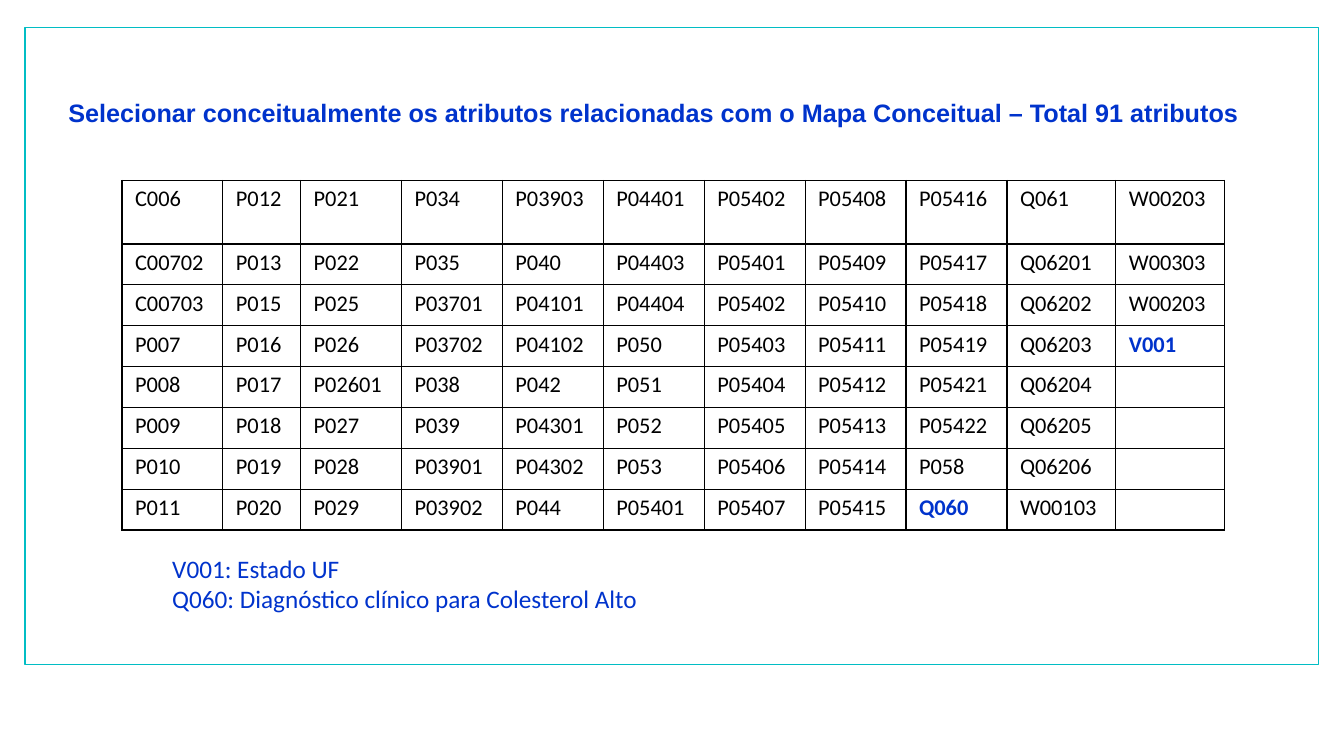
"""Build the slide that lists the 91 attributes chosen from the concept map."""
from dataclasses import dataclass

from lxml import etree
from pptx import Presentation
from pptx.dml.color import RGBColor
from pptx.enum.shapes import MSO_SHAPE
from pptx.oxml.ns import qn
from pptx.util import Inches, Pt

RECTANGLE = MSO_SHAPE.RECTANGLE

TITLE = ("Selecionar conceitualmente os atributos relacionadas com o "
         "Mapa Conceitual – Total 91 atributos")
ATTRIBUTES = [
    "C006 C00702 C00703 P007 P008 P009 P010 P011",
    "P012 P013 P015 P016 P017 P018 P019 P020",
    "P021 P022 P025 P026 P02601 P027 P028 P029",
    "P034 P035 P03701 P03702 P038 P039 P03901 P03902",
    "P03903 P040 P04101 P04102 P042 P04301 P04302 P044",
    "P04401 P04403 P04404 P050 P051 P052 P053 P05401",
    "P05402 P05401 P05402 P05403 P05404 P05405 P05406 P05407",
    "P05408 P05409 P05410 P05411 P05412 P05413 P05414 P05415",
    "P05416 P05417 P05418 P05419 P05421 P05422 P058 Q060",
    "Q061 Q06201 Q06202 Q06203 Q06204 Q06205 Q06206 W00103",
    "W00203 W00303 W00203 V001",
]
NOTES = {
    "V001": "Estado UF",
    "Q060": "Diagnóstico clínico para Colesterol Alto",
}

SLIDE_W, SLIDE_H = 13.33, 7.5
FRAME_BOX = (0.25, 0.27, 12.83, 6.32)
TITLE_BOX = (0.58, 0.92, 12.32, 0.4)
TABLE_BOX = (1.21, 1.79, 10.94, 3.47)
NOTES_BOX = (1.61, 5.44, 7.45, 0.71)
COL_SHARES = [1, 0.77] + [1] * 7 + [1.08] * 2
FIRST_ROW_H = 0.63
CELL_MARGIN_X, CELL_MARGIN_Y = 0.13, 0.05


@dataclass(frozen=True)
class Theme:
    accent: str = "0033CC"
    ink: str = "000000"
    frame: str = "01BDC4"
    title_font: str = "Arial"
    body_font: str = "Calibri"
    text_size: int = 18
    cell_size: int = 16
    line: int = 1


THEME = Theme()


def style(p, name, size, color, bold=False):
    """Set the font of a whole paragraph."""
    p.font.name, p.font.size, p.font.bold = name, Pt(size), bold
    p.font.color.rgb = RGBColor.from_string(color)


def add_frame(s):
    """Draw the outlined frame."""
    sp = s.shapes.add_shape(RECTANGLE, *map(Inches, FRAME_BOX))
    sp.shadow.inherit = False
    sp.fill.background()
    sp.line.color.rgb = RGBColor.from_string(THEME.frame)
    sp.line.width = Pt(THEME.line)


def add_text(s, box, lines, name, bold=False):
    """Add a text box with one paragraph per line."""
    tf = s.shapes.add_textbox(*map(Inches, box)).text_frame
    tf.word_wrap = True
    tf.text = "\n".join(lines)
    for p in tf.paragraphs:
        style(p, name, THEME.text_size, THEME.accent, bold)


def add_borders(cell):
    """Give a cell a solid line on each side."""
    tc_pr = cell._tc.get_or_add_tcPr()
    for side in ("lnL", "lnR", "lnT", "lnB"):
        ln = etree.SubElement(tc_pr, qn(f"a:{side}"), w=str(Pt(THEME.line)))
        fill = etree.SubElement(ln, qn("a:solidFill"))
        etree.SubElement(fill, qn("a:srgbClr"), val=THEME.ink)


def fill_cell(cell, code):
    """Write one attribute code, marking those explained in the notes."""
    cell.margin_left = cell.margin_right = Inches(CELL_MARGIN_X)
    cell.margin_top = cell.margin_bottom = Inches(CELL_MARGIN_Y)
    add_borders(cell)
    cell.fill.background()
    cell.text = code
    marked = code in NOTES
    style(cell.text_frame.paragraphs[0], THEME.body_font, THEME.cell_size,
          THEME.accent if marked else THEME.ink, marked)


def add_attributes(s):
    """Add the attribute table, filled column by column."""
    columns = [line.split() for line in ATTRIBUTES]
    n_rows = max(map(len, columns))
    width, height = TABLE_BOX[2:]
    table = s.shapes.add_table(n_rows, len(columns), *map(Inches, TABLE_BOX)).table
    table.first_row = table.horz_banding = False
    for col, share in zip(table.columns, COL_SHARES):
        col.width = Inches(width * share / sum(COL_SHARES))
    for i, row in enumerate(table.rows):
        row.height = Inches((height - FIRST_ROW_H) / (n_rows - 1) if i else FIRST_ROW_H)
    for j, codes in enumerate(columns):
        for i in range(n_rows):
            fill_cell(table.cell(i, j), codes[i] if i < len(codes) else "")


def main():
    """Assemble and save the slide."""
    prs = Presentation()
    prs.slide_width, prs.slide_height = Inches(SLIDE_W), Inches(SLIDE_H)
    s = prs.slides.add_slide(prs.slide_layouts[6])
    add_frame(s)
    add_text(s, TITLE_BOX, [TITLE], THEME.title_font, bold=True)
    add_attributes(s)
    notes = [f"{code}: {meaning}" for code, meaning in NOTES.items()]
    add_text(s, NOTES_BOX, notes, THEME.body_font)
    prs.save("out.pptx")


if __name__ == "__main__":
    main()
